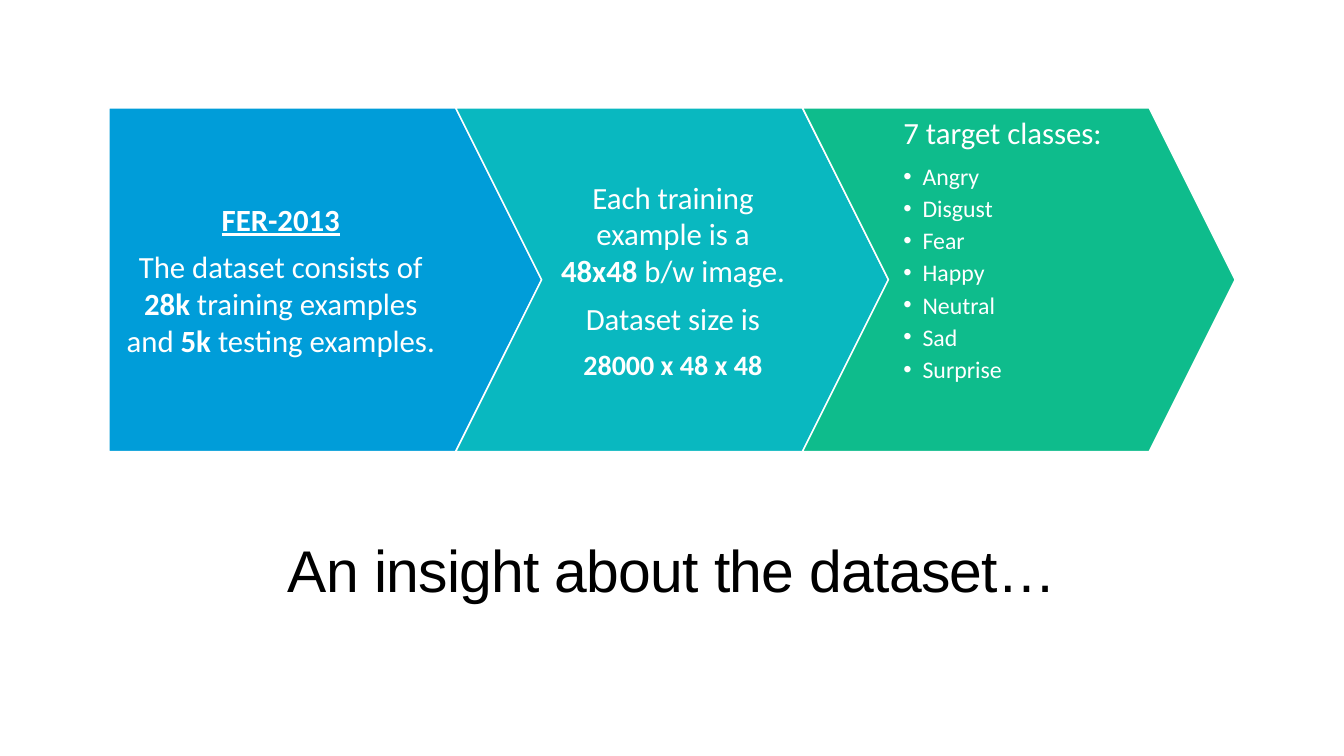
from lxml.etree import SubElement
from pptx import Presentation
from pptx.dml.color import RGBColor
from pptx.enum.shapes import MSO_SHAPE as Shape
from pptx.enum.text import MSO_ANCHOR as Anchor, PP_ALIGN as Align
from pptx.oxml.ns import qn
from pptx.util import Emu, Pt

EMU_PER_PX = 9144  # 100 px to the inch
COLORS = {"white": "FFFFFF", "black": "000000", "blue": "009DD9",
          "teal": "09B8C0", "green": "0EBC8C"}

# Chevron row
LEFT, TOP, WIDTH, HEIGHT = 108, 107, 429, 341
STEP, NOTCH = 344, 86
CLASSES = ["Angry", "Disgust", "Fear", "Happy", "Neutral", "Sad", "Surprise"]


def px(n):
    return Emu(n * EMU_PER_PX)


def rgb(name):
    return RGBColor.from_string(COLORS[name])


def add_para(tf, text, size=22, font="Calibri", color="white", align=Align.CENTER,
             after=0.35, line=None, underline=False, bullet=False, spacing=None):
    """Add a paragraph; text between ** marks is bold, after is a share of size."""
    p = tf.paragraphs[0]
    if p.runs:
        p = tf.add_paragraph()
    p.alignment = align
    p.space_after = Pt(round(size * after, 2))
    if line:
        p.line_spacing = line
    if bullet:
        p.level = 1
        pPr = p._p.get_or_add_pPr()
        pPr.set("marL", str(px(19)))
        pPr.set("indent", str(px(-19)))
        SubElement(pPr, qn("a:buFont"), typeface="Arial")
        SubElement(pPr, qn("a:buChar"), char="•")
    for i, part in enumerate(text.split("**")):
        if not part:
            continue
        r = p.add_run()
        r.text = part
        r.font.name, r.font.size = font, Pt(size)
        r.font.bold, r.font.underline = i % 2 == 1, underline
        r.font.color.rgb = rgb(color)
        if spacing:
            r.font._element.set("spc", str(spacing))


class SlideBuilder:
    def __init__(self, prs):
        self.slide = prs.slides.add_slide(prs.slide_layouts[6])

    def arrow(self, kind, x, fill):
        sp = self.slide.shapes.add_shape(kind, px(x), px(TOP), px(WIDTH), px(HEIGHT))
        sp.adjustments[0] = 0.25
        sp.shadow.inherit = False
        sp.fill.solid()
        sp.fill.fore_color.rgb = rgb(fill)
        sp.line.color.rgb = rgb("white")
        sp.line.width = Pt(1)

    def text(self, x, y, w, h, insets, anchor=Anchor.MIDDLE):
        tf = self.slide.shapes.add_textbox(px(x), px(y), px(w), px(h)).text_frame
        tf.word_wrap = True
        tf.vertical_anchor = anchor
        tf.margin_left, tf.margin_top, tf.margin_right, tf.margin_bottom = map(px, insets)
        return tf


def main():
    prs = Presentation()
    prs.slide_width, prs.slide_height = px(1333), px(750)
    s = SlideBuilder(prs)

    # Title
    tf = s.text(150, 502, 1033, 132, (10, 5, 10, 5))
    add_para(tf, "An insight about the dataset…", size=42, font="Arial",
             color="black", after=0, line=0.95, spacing=-50)

    # Arrows
    steps = [(Shape.PENTAGON, "blue"), (Shape.CHEVRON, "teal"), (Shape.CHEVRON, "green")]
    lefts = [LEFT + i * STEP for i in range(len(steps))]
    for x, (kind, fill) in zip(lefts, steps):
        s.arrow(kind, x, fill)

    # Dataset
    tf = s.text(lefts[0], TOP, 387, HEIGHT, (15, 6, 61, 6))
    add_para(tf, "**FER-2013**", underline=True)
    add_para(tf, "The dataset consists of **28k** training examples "
                 "and **5k **testing examples.")

    # Training examples
    inner_w, insets = WIDTH - 2 * NOTCH + 2, (15, 6, 15, 6)
    tf = s.text(lefts[1] + NOTCH, TOP, inner_w, HEIGHT, insets)
    add_para(tf, "Each training example is a **48x48** b/w image.")
    add_para(tf, "Dataset size is")
    add_para(tf, "**28000 x 48 x 48**", size=20)

    # Target classes
    tf = s.text(lefts[2] + NOTCH - 1, TOP, inner_w, HEIGHT, insets, Anchor.TOP)
    add_para(tf, "7 target classes:", align=Align.LEFT)
    for name in CLASSES:
        add_para(tf, name, size=17, align=Align.LEFT, after=0.15, bullet=True)

    prs.save("out.pptx")


if __name__ == "__main__":
    main()
